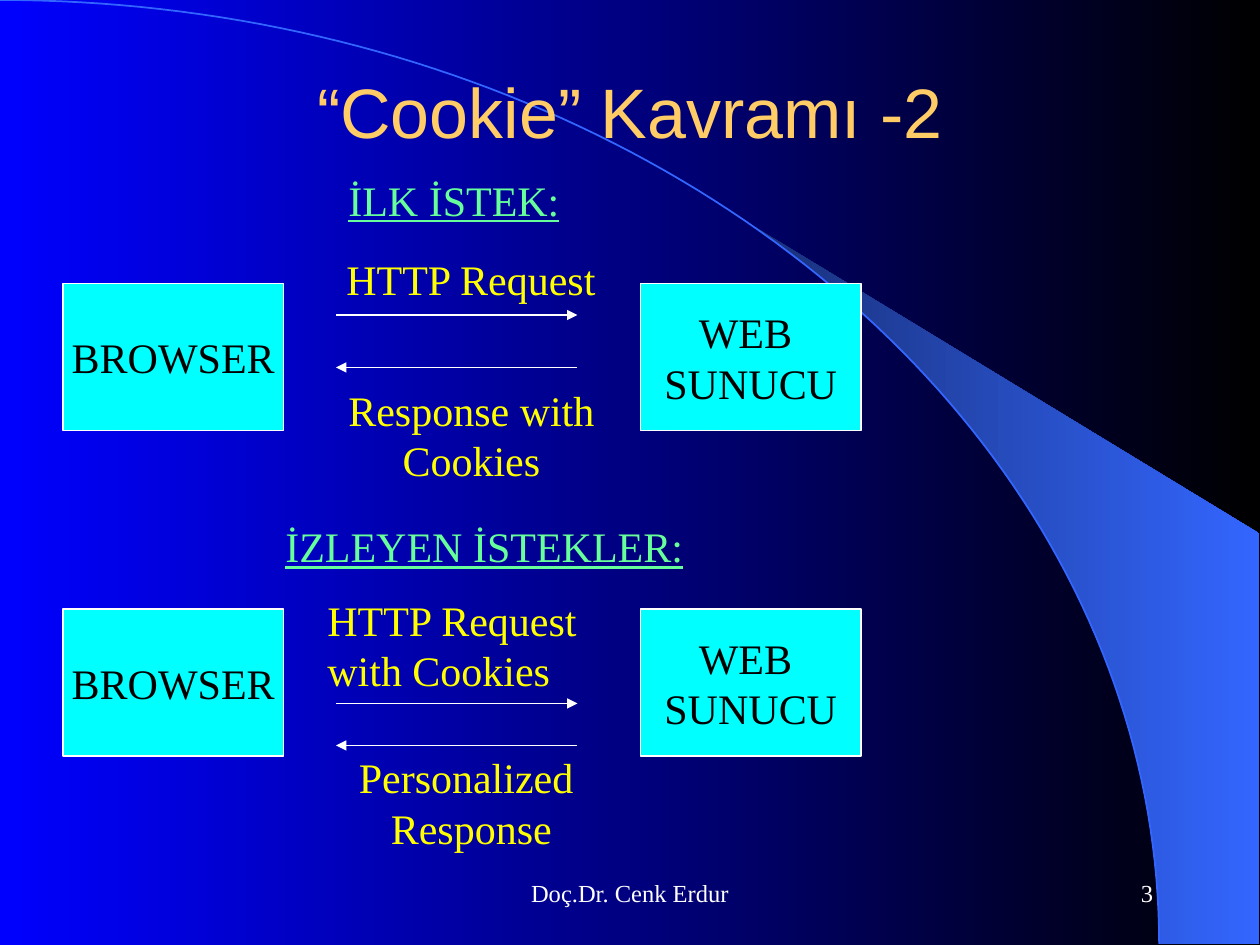
from dataclasses import dataclass
from math import cos, radians, sin

from lxml.etree import SubElement
from pptx import Presentation
from pptx.dml.color import RGBColor
from pptx.enum.shapes import MSO_CONNECTOR, MSO_SHAPE
from pptx.enum.text import MSO_ANCHOR, MSO_AUTO_SIZE, PP_ALIGN
from pptx.oxml.ns import qn
from pptx.util import Emu, Inches, Pt


@dataclass(frozen=True)
class Theme:
    """Colours, fonts and type sizes of the slide."""
    backdrop: tuple = ("0000FF", "000000")
    blade: tuple = ("182F76", "3366FF")
    arc: str = "3366FF"
    title: str = "FFCC66"
    heading: str = "66FF99"
    message: str = "FFFF00"
    box: str = "00FFFF"
    ink: str = "000000"
    white: str = "FFFFFF"
    serif: str = "Times New Roman"
    sans: str = "Arial"
    title_size: int = 40
    body_size: int = 24
    footer_size: int = 14


THEME = Theme()
COLUMNS, ROWS = 120, 90
SLIDE_WIDTH, SLIDE_HEIGHT = Inches(10), Inches(7.5)


def grid(column, row):
    """Convert a column and a row of the grid to slide lengths."""
    return Emu(int(SLIDE_WIDTH * column / COLUMNS)), Emu(int(SLIDE_HEIGHT * row / ROWS))


def rgb(code):
    """Turn a hex code into a colour."""
    return RGBColor.from_string(code)


def fill_gradient(fill, codes):
    """Fill from left to right between two colours."""
    fill.gradient()
    fill.gradient_angle = 0
    for stop, code in zip(fill.gradient_stops, codes):
        stop.color.rgb = rgb(code)


def write(frame, lines, color, size=THEME.body_size, font=THEME.serif,
          align=PP_ALIGN.LEFT, underline=False):
    """Write one paragraph with one run for each line."""
    for index, line in enumerate(lines):
        paragraph = frame.add_paragraph() if index else frame.paragraphs[0]
        paragraph.alignment = align
        run = paragraph.add_run()
        run.text = line
        run.font.name = font
        run.font.size = Pt(size)
        run.font.color.rgb = rgb(color)
        if underline:
            run.font.underline = True


def add_caption(slide, place, text, color, size, font, align):
    """Add a wrapped, vertically centred line of text."""
    frame = slide.shapes.add_textbox(*grid(*place[:2]), *grid(*place[2:])).text_frame
    frame.word_wrap = True
    frame.vertical_anchor = MSO_ANCHOR.MIDDLE
    write(frame, [text], color, size, font, align)


def add_label(slide, place, lines, color, align=PP_ALIGN.LEFT, underline=False):
    """Add an unwrapped label that fits its text."""
    frame = slide.shapes.add_textbox(*grid(*place[:2]), *grid(*place[2:])).text_frame
    frame.word_wrap = False
    frame.auto_size = MSO_AUTO_SIZE.SHAPE_TO_FIT_TEXT
    write(frame, lines, color, align=align, underline=underline)


def add_box(slide, column, row, lines):
    """Add the rectangle of one party in the exchange."""
    party = slide.shapes.add_shape(MSO_SHAPE.RECTANGLE, *grid(column, row), *grid(21, 14))
    party.shadow.inherit = False
    party.fill.solid()
    party.fill.fore_color.rgb = rgb(THEME.box)
    party.line.color.rgb = rgb(THEME.white)
    party.line.width = Pt(0.75)
    party.text_frame.word_wrap = False
    party.text_frame.vertical_anchor = MSO_ANCHOR.MIDDLE
    write(party.text_frame, lines, THEME.ink, align=PP_ALIGN.CENTER)


def add_arrow(slide, start, end, row):
    """Add a level arrow between two columns."""
    arrow = slide.shapes.add_connector(
        MSO_CONNECTOR.STRAIGHT, *grid(start, row), *grid(end, row))
    arrow.line.color.rgb = rgb(THEME.white)
    arrow.line.width = Pt(0.75)
    properties = arrow.element.spPr
    SubElement(properties.find(qn("a:ln")), qn("a:tailEnd"), type="triangle")
    SubElement(properties, qn("a:effectLst"))


def arc_points(first, last, step):
    """List points of the quarter ellipse centred on the lower left corner."""
    return [grid(110.4 * sin(radians(angle)), 89.9 * (1 - cos(radians(angle))))
            for angle in range(first, last + 1, step)]


def add_outline(slide, points, close):
    """Add a freeform through the points."""
    builder = slide.shapes.build_freeform(*points[0], scale=1.0)
    builder.add_line_segments(points[1:], close=close)
    outline = builder.convert_to_shape()
    outline.shadow.inherit = False
    return outline


def add_backdrop(slide):
    """Draw the background, the blade and the long arc."""
    fill_gradient(slide.background.fill, THEME.backdrop)
    blade = add_outline(
        slide, arc_points(40, 90, 2) + [grid(119.9, 89.9), grid(119.9, 50.8)], True)
    fill_gradient(blade.fill, THEME.blade)
    blade.line.fill.background()
    arc = add_outline(slide, arc_points(0, 90, 1), False)
    arc.fill.background()
    arc.line.color.rgb = rgb(THEME.arc)
    arc.line.width = Pt(1)


def add_exchange(slide, box_row, request_row, response_row):
    """Add browser, server and the arrows between them."""
    add_box(slide, 6, box_row, ["BROWSER"])
    add_box(slide, 61, box_row, ["WEB ", "SUNUCU"])
    add_arrow(slide, 32, 55, request_row)
    add_arrow(slide, 55, 32, response_row)


def main():
    """Build and save the slide."""
    deck = Presentation()
    deck.slide_width, deck.slide_height = SLIDE_WIDTH, SLIDE_HEIGHT
    slide = deck.slides.add_slide(deck.slide_layouts[6])
    add_backdrop(slide)

    add_caption(slide, (41, 82, 38, 6), "Doç.Dr. Cenk Erdur", THEME.white,
                THEME.footer_size, THEME.serif, PP_ALIGN.CENTER)
    add_caption(slide, (86, 82, 25, 6), "3", THEME.white,
                THEME.footer_size, THEME.serif, PP_ALIGN.RIGHT)
    add_caption(slide, (9, 5, 102, 11), "“Cookie” Kavramı -2", THEME.title,
                THEME.title_size, THEME.sans, PP_ALIGN.CENTER)

    add_exchange(slide, 27, 30, 35)
    add_label(slide, (32, 16, 23.5, 6), ["İLK İSTEK:"], THEME.heading, underline=True)
    add_label(slide, (31.8, 23.6, 27, 6), ["HTTP Request"], THEME.message)
    add_label(slide, (31.4, 36, 27, 10.8), ["Response with", "Cookies"],
              THEME.message, PP_ALIGN.CENTER)

    add_exchange(slide, 58, 67, 71)
    add_label(slide, (26, 49, 41.5, 6), ["İZLEYEN İSTEKLER:"], THEME.heading, underline=True)
    add_label(slide, (30, 56, 28, 10.8), ["HTTP Request", "with Cookies"], THEME.message)
    add_label(slide, (32.5, 71, 23.8, 10.8), ["Personalized", " Response"],
              THEME.message, PP_ALIGN.CENTER)
    deck.save("out.pptx")


if __name__ == "__main__":
    main()
